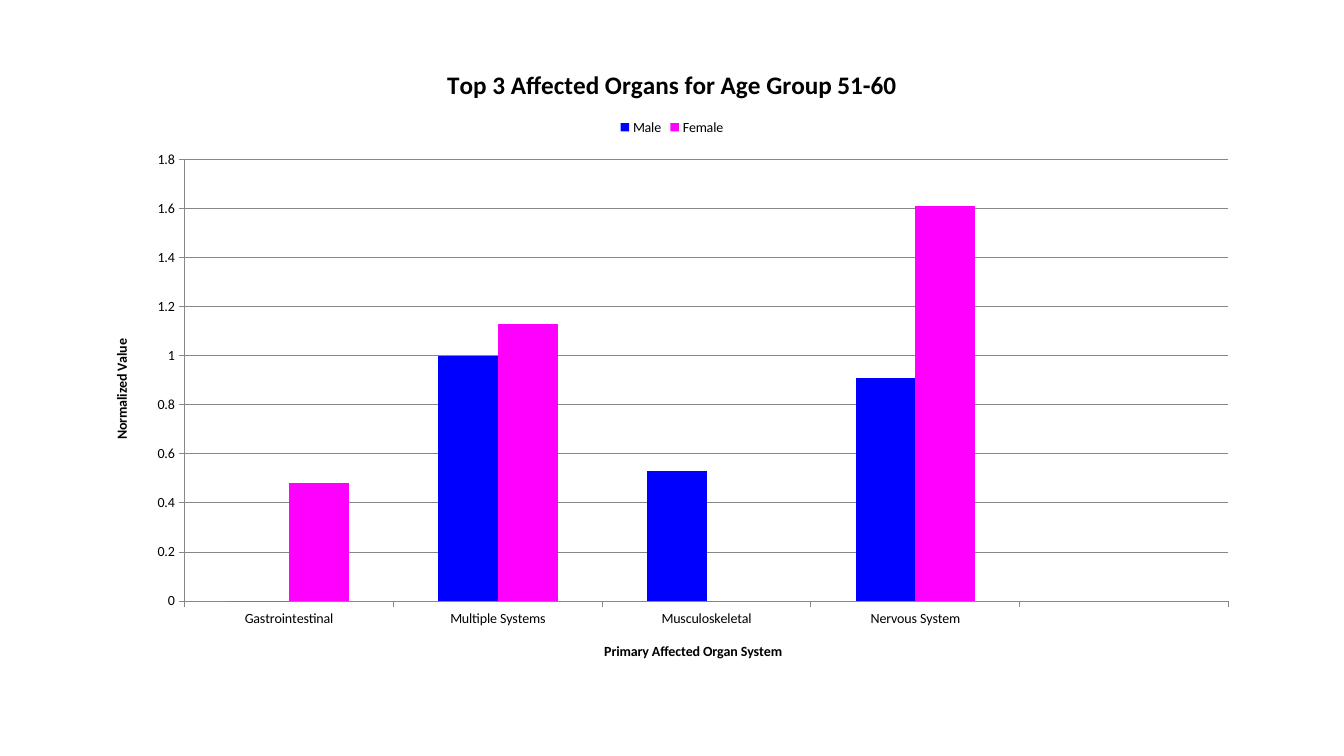
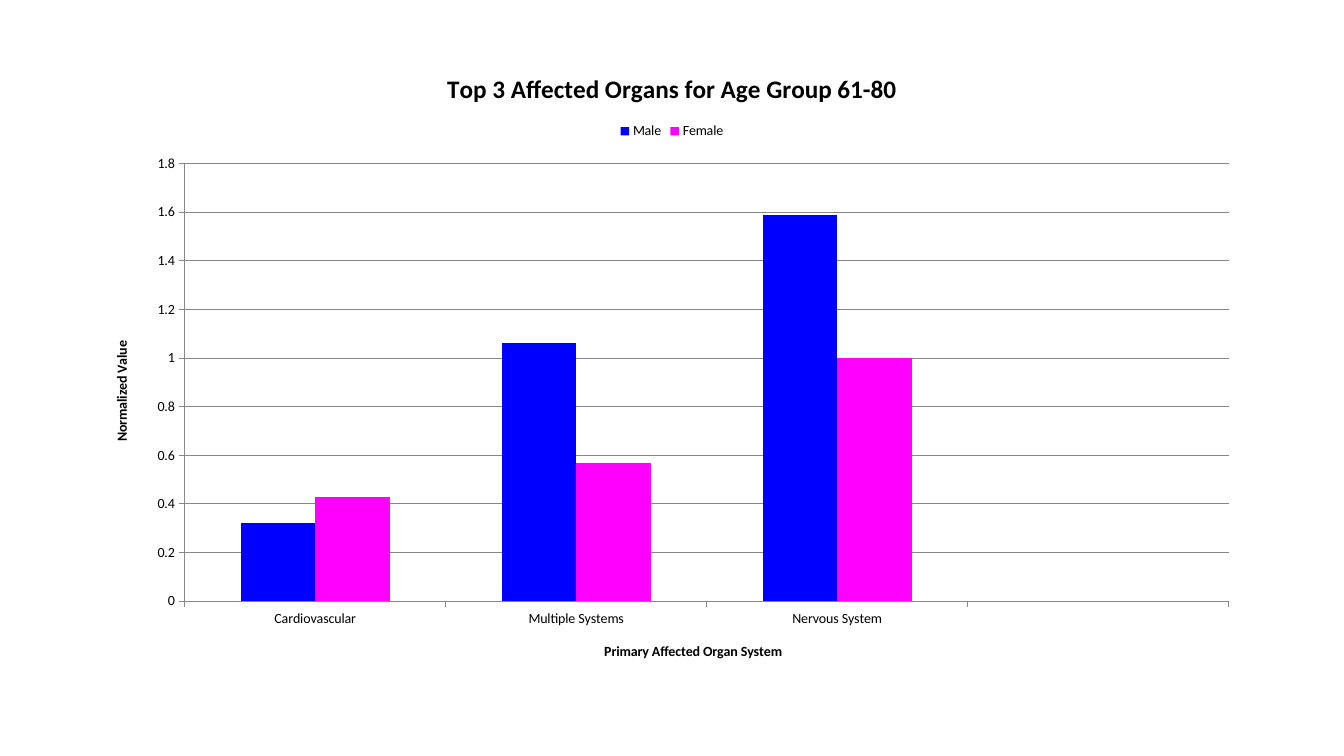
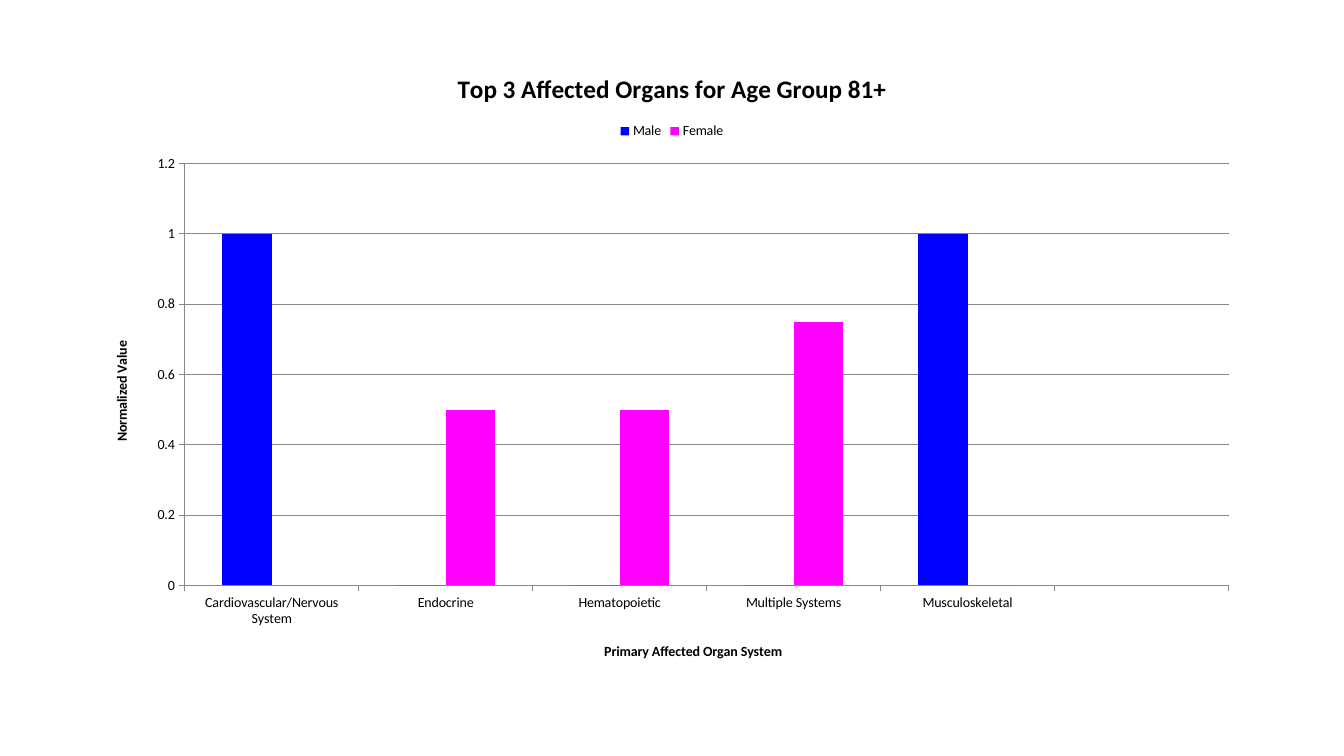
"""Build three slides comparing affected organs of men and women by age group."""
from pptx import Presentation
from pptx import util as u
from pptx.chart.data import CategoryChartData
from pptx.dml.color import RGBColor
from pptx.enum import chart as charts

FONT = "Calibri"
BLACK, GRID = "000000", "878787"
SERIES_COLORS = {"Male": "0000FF", "Female": "FF00FF"}
WIDTH, HEIGHT = u.Inches(13.33), u.Inches(7.5)
CHART_WIDTH = u.Inches(11.5)
CHART_BOTTOM = 0.9
BLANK_LAYOUT = 6

AGE_GROUPS = [
    ("51-60", 0.44 / 7.5, {
        "Gastrointestinal": (0, 0.48),
        "Multiple Systems": (1, 1.13),
        "Musculoskeletal": (0.53, 0),
        "Nervous System": (0.91, 1.61),
    }),
    ("61-80", 0.48 / 7.5, {
        "Cardiovascular": (0.32, 0.43),
        "Multiple Systems": (1.06, 0.57),
        "Nervous System": (1.59, 1),
    }),
    ("81+", 0.48 / 7.5, {
        "Cardiovascular/Nervous System": (1, 0),
        "Endocrine": (0, 0.5),
        "Hematopoietic": (0, 0.5),
        "Multiple Systems": (0, 0.75),
        "Musculoskeletal": (1, 0),
    }),
]


def color(value):
    """Return the colour for a hex string."""
    return RGBColor.from_string(value)


def set_font(font, size, bold=False):
    """Apply the deck's typeface in black."""
    font.name, font.size, font.bold = FONT, u.Pt(size), bold
    font.color.rgb = color(BLACK)


def set_title(owner, words, size):
    """Give a chart or an axis a bold title."""
    para = owner.text_frame.paragraphs[0]
    para.text = words
    set_font(para.font, size, bold=True)


def set_line(line):
    """Draw a thin grey line."""
    line.color.rgb = color(GRID)
    line.width = u.Pt(0.75)


def style_axis(axis, title):
    """Style one axis with outward ticks and a title."""
    axis.major_tick_mark = charts.XL_TICK_MARK.OUTSIDE
    axis.minor_tick_mark = charts.XL_TICK_MARK.NONE
    axis.tick_labels.number_format = "General"
    axis.tick_labels.number_format_is_linked = False
    set_font(axis.tick_labels.font, 10)
    set_line(axis.format.line)
    set_title(axis.axis_title, title, 10)


def organ_data(organs):
    """Arrange organ values by sex, with one empty category at the end."""
    data = CategoryChartData()
    data.categories = [*organs, ""]
    for name, values in zip(SERIES_COLORS, zip(*organs.values())):
        data.add_series(name, [*values, None])
    return data


def add_organ_chart(page, box, title, organs):
    """Place a clustered column chart in the given box."""
    chart = page.shapes.add_chart(
        charts.XL_CHART_TYPE.COLUMN_CLUSTERED, *box, organ_data(organs)).chart
    set_font(chart.font, 10)
    set_title(chart.chart_title, title, 18)
    chart.chart_title.include_in_layout = False
    chart.has_legend = True
    chart.legend.position = charts.XL_LEGEND_POSITION.TOP
    chart.legend.include_in_layout = False
    set_font(chart.legend.font, 10)
    style_axis(chart.category_axis, "Primary Affected Organ System")
    style_axis(chart.value_axis, "Normalized Value")
    chart.value_axis.has_major_gridlines = True
    set_line(chart.value_axis.major_gridlines.format.line)
    plot = chart.plots[0]
    plot.gap_width, plot.overlap, plot.vary_by_categories = 150, 0, False
    for series in plot.series:
        series.invert_if_negative = False
        series.format.fill.solid()
        series.format.fill.fore_color.rgb = color(SERIES_COLORS[series.name])


def add_age_slide(deck, age, top, organs):
    """Add the slide of one age group, its chart centred across the page."""
    page = deck.slides.add_slide(deck.slide_layouts[BLANK_LAYOUT])
    box = (int((WIDTH - CHART_WIDTH) / 2), int(HEIGHT * top),
           CHART_WIDTH, int(HEIGHT * (CHART_BOTTOM - top)))
    add_organ_chart(page, box, f"Top 3 Affected Organs for Age Group {age}", organs)


def main():
    """Build and save the deck."""
    deck = Presentation()
    deck.slide_width, deck.slide_height = WIDTH, HEIGHT
    for group in AGE_GROUPS:
        add_age_slide(deck, *group)
    deck.save("out.pptx")


if __name__ == "__main__":
    main()
